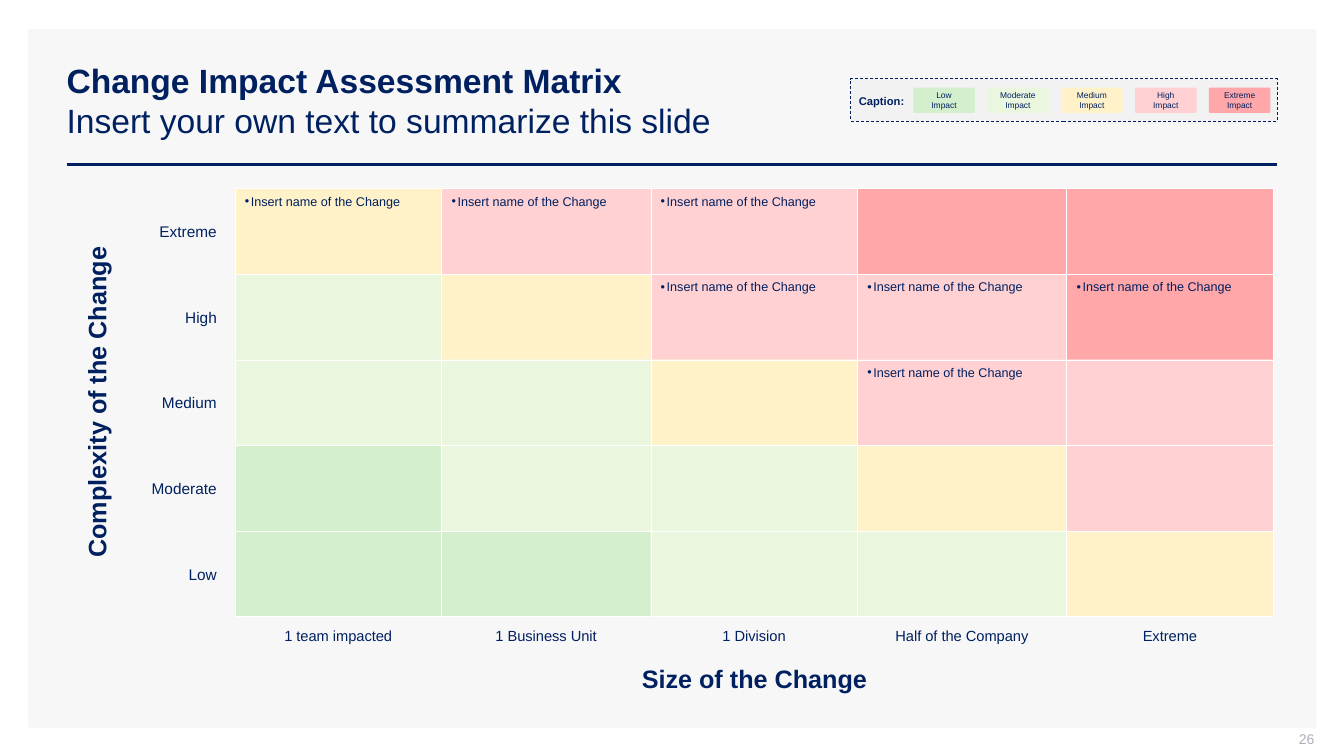
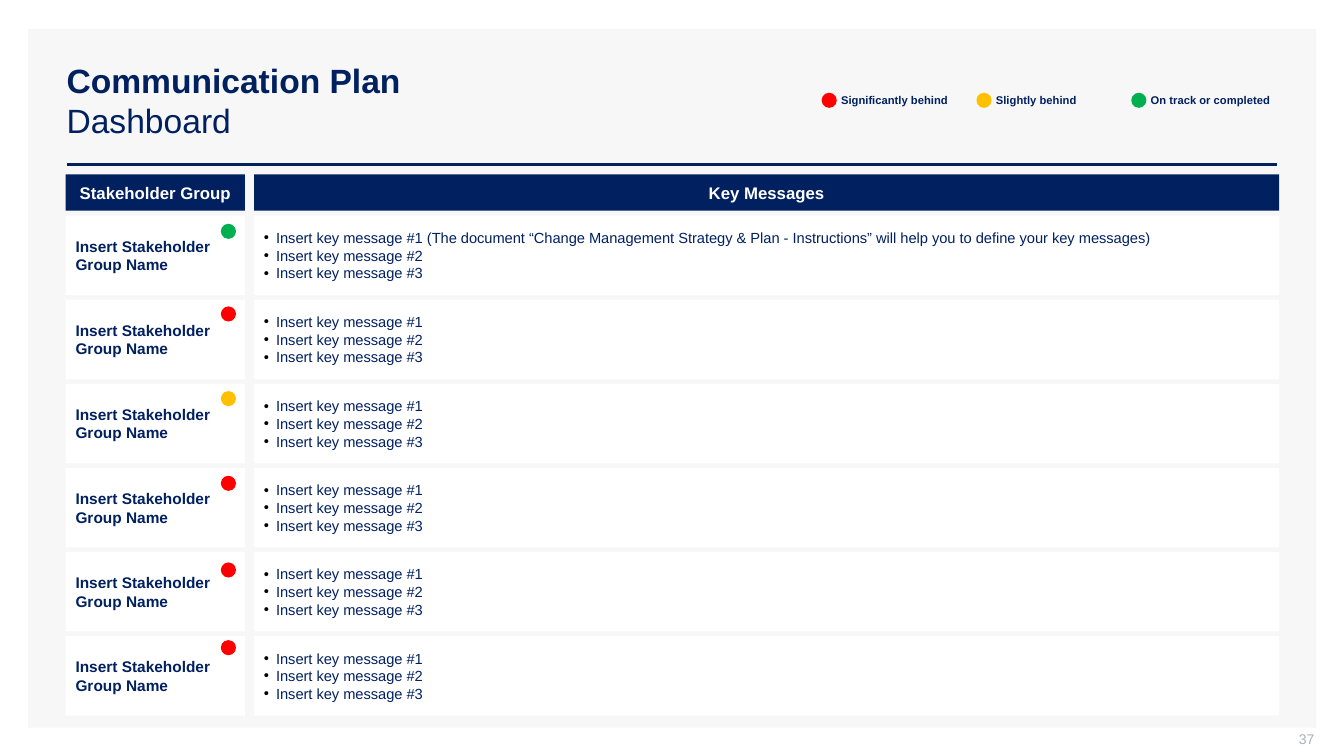
from dataclasses import dataclass, replace
from itertools import accumulate
from typing import Any, NamedTuple, Optional

from lxml.etree import SubElement
from pptx import Presentation
from pptx.dml.color import RGBColor
from pptx.enum.dml import MSO_LINE
from pptx.enum.shapes import MSO_CONNECTOR, MSO_SHAPE
from pptx.enum.text import MSO_ANCHOR, MSO_AUTO_SIZE, PP_ALIGN
from pptx.oxml.ns import qn
from pptx.util import Emu, Inches, Pt

WIDE, HIGH = Inches(13.333), Inches(7.5)
FONT = "Arial"
NAVY, WHITE, BLACK = "002060", "FFFFFF", "000000"
PANEL, PALE, GREY = "F7F7F7", "F2F2F2", "ADAFBB"
RED, AMBER, GREEN = "FF0000", "FFC000", "00B050"
RECT, ROUND, OVAL = MSO_SHAPE.RECTANGLE, MSO_SHAPE.ROUNDED_RECTANGLE, MSO_SHAPE.OVAL
LEFT, MID, RIGHT = PP_ALIGN.LEFT, PP_ALIGN.CENTER, PP_ALIGN.RIGHT


class Box(NamedTuple):
    """Left, top, width and height in percent of the slide."""
    x: float
    y: float
    w: float
    h: float

    def emu(self) -> tuple[Emu, ...]:
        sides = (WIDE, HIGH, WIDE, HIGH)
        return tuple(Emu(round(v * s / 100)) for v, s in zip(self, sides))


@dataclass(frozen=True)
class Look:
    """Fill, outline and text format; pad is left, top, right, bottom in inches."""
    fill: Optional[str] = None
    line: Optional[str] = None
    width: float = 0.25
    dash: bool = False
    size: float = 11
    bold: bool = False
    ink: str = NAVY
    align: PP_ALIGN = LEFT
    anchor: MSO_ANCHOR = MSO_ANCHOR.MIDDLE
    pad: tuple[float, ...] = (0.1, 0.05, 0.1, 0.05)
    indent: float = 0
    dot: str = NAVY


class Level(NamedTuple):
    name: str
    color: str


class Status(NamedTuple):
    name: str
    color: str


class Group(NamedTuple):
    color: str
    top: float
    extra: str = ""


LEVELS = {
    "L": Level("Low", "D3EFCE"),
    "O": Level("Moderate", "EBF6DE"),
    "M": Level("Medium", "FFF2C9"),
    "H": Level("High", "FFD1D2"),
    "E": Level("Extreme", "FFA7A9"),
}
MATRIX = {
    "Extreme": "MHHEE",
    "High": "OMHHE",
    "Medium": "OOMHH",
    "Moderate": "LOOMH",
    "Low": "LLOOM",
}
NOTED = {(0, 0), (0, 1), (0, 2), (1, 2), (1, 3), (1, 4), (2, 3)}
SIZES = ("1 team impacted", "1 Business Unit", "1 Division",
         "Half of the Company", "Extreme")
STATES = (
    Status("Significantly behind", RED),
    Status("Slightly behind", AMBER),
    Status("On track or completed", GREEN),
)
GROUPS = (
    Group(GREEN, 29.6, " (The document “Change Management Strategy & Plan - "
          "Instructions” will help you to define your key messages)"),
    Group(RED, 40.53),
    Group(AMBER, 51.73),
    Group(RED, 62.93),
    Group(RED, 74.4),
    Group(RED, 84.67),
)


def hue(code: str) -> RGBColor:
    return RGBColor.from_string(code)


def apply(item: Any, values: dict[str, Any]) -> None:
    for key, value in values.items():
        setattr(item, key, value)


def bullet(para: Any, indent: float, color: str) -> None:
    props = para._p.get_or_add_pPr()
    props.set("marL", str(Inches(indent)))
    props.set("indent", str(-Inches(indent)))
    tint = SubElement(props, qn("a:buClr"))
    SubElement(tint, qn("a:srgbClr")).set("val", color)
    SubElement(props, qn("a:buFont")).set("typeface", FONT)
    SubElement(props, qn("a:buChar")).set("char", "•")


def write(shape: Any, lines: tuple[str, ...], look: Look) -> None:
    frame = shape.text_frame
    left, top, right, bottom = map(Inches, look.pad)
    apply(frame, {
        "word_wrap": True, "auto_size": MSO_AUTO_SIZE.NONE,
        "vertical_anchor": look.anchor, "margin_left": left,
        "margin_top": top, "margin_right": right, "margin_bottom": bottom,
    })
    for i, line in enumerate(lines):
        para = frame.add_paragraph() if i else frame.paragraphs[0]
        para.alignment = look.align
        run = para.add_run()
        run.text = line
        apply(run.font, {"name": FONT, "size": Pt(look.size), "bold": look.bold})
        run.font.color.rgb = hue(look.ink)
        if look.indent:
            bullet(para, look.indent, look.dot)


def label(slide: Any, box: Box, text: str, look: Look) -> Any:
    """Add a text box without fill or outline."""
    shape = slide.shapes.add_textbox(*box.emu())
    write(shape, (text,), look)
    return shape


def block(slide: Any, kind: MSO_SHAPE, box: Box, look: Look, *lines: str) -> Any:
    """Add a filled preset shape, with text if any is given."""
    shape = slide.shapes.add_shape(kind, *box.emu())
    shape.shadow.inherit = False
    shape.fill.solid()
    shape.fill.fore_color.rgb = hue(look.fill)
    if look.line:
        shape.line.color.rgb = hue(look.line)
        shape.line.width = Pt(look.width)
        if look.dash:
            shape.line.dash_style = MSO_LINE.DASH
    else:
        shape.line.fill.background()
    if lines:
        write(shape, lines, look)
    return shape


def dot(slide: Any, x: float, y: float, color: str) -> None:
    block(slide, OVAL, Box(x, y, 1.13, 2), Look(fill=color))


def style(deck: Any) -> Any:
    """Give the title layout its panel, rule and title position."""
    layout = deck.slide_layouts.get_by_name("Title Only")
    title = layout.placeholders[0]
    keys = ("left", "top", "width", "height")
    apply(title, dict(zip(keys, Box(4.2, 5.33, 90.83, 15.87).emu())))
    return layout


def backdrop(slide: Any, layout: Any) -> None:
    """Draw the panel and rule, and move them to the layout."""
    panel = block(slide, RECT, Box(2.1, 3.87, 95.85, 92.4), Look(fill=PANEL))
    x, y, w, _ = Box(4.97, 21.73, 90.05, 0).emu()
    rule = slide.shapes.add_connector(MSO_CONNECTOR.STRAIGHT, x, y, x + w, y)
    rule.line.color.rgb = hue(NAVY)
    rule.line.width = Pt(2)
    SubElement(rule.element.spPr, qn("a:effectLst"))
    for depth, shape in enumerate((panel, rule), start=2):
        layout.shapes.element.insert(depth, shape.element)


def page(deck: Any, layout: Any, title: str, under: str, number: int) -> Any:
    slide = deck.slides.add_slide(layout)
    write(slide.shapes.title, (title, under), Look(size=24))
    slide.shapes.title.text_frame.paragraphs[0].runs[0].font.bold = True
    label(slide, Box(75.3, 96.67, 22.5, 2.8), str(number),
          Look(size=10, ink=GREY, align=RIGHT, pad=(0.1, 0, 0, 0.05)))
    return slide


def caption(slide: Any) -> None:
    block(slide, RECT, Box(63.3, 10.4, 31.73, 5.6),
          Look(fill=PALE, line=NAVY, width=0.5, dash=True, size=8, bold=True,
               pad=(0.08, 0.1, 0.08, 0.08)), "Caption:")
    for i, level in enumerate(LEVELS.values()):
        chip = block(slide, ROUND, Box(67.95 + 5.5 * i, 11.6, 4.58, 3.33),
                     Look(fill=level.color, size=6, align=MID),
                     f"{level.name} Impact")
        chip.adjustments[0] = 0.04


def matrix(slide: Any) -> None:
    widths = (15.38, 15.56, 15.38, 15.56, 15.38)
    lefts = list(accumulate(widths[:-1], initial=17.48))
    top, high = 24.93, 11.33
    cell = Look(line=WHITE, size=9, anchor=MSO_ANCHOR.TOP, indent=0.06)
    for row, (name, codes) in enumerate(MATRIX.items()):
        y = top + row * high
        label(slide, Box(8.63, y, 8.25, high), name, Look(align=RIGHT))
        for col, code in enumerate(codes):
            note = ("Insert name of the Change",) if (row, col) in NOTED else ()
            block(slide, RECT, Box(lefts[col], y, widths[col], high),
                  replace(cell, fill=LEVELS[code].color), *note)
    for x, w, name in zip(lefts, widths, SIZES):
        label(slide, Box(x, 82.27, w, 3.75), name, Look(size=10.5, align=MID))
    axis = Look(size=18, bold=True, align=MID)
    side = label(slide, Box(-6, 49.87, 26.33, 6.67), "Complexity of the Change", axis)
    side.rotation = 270
    label(slide, Box(45.9, 86.4, 20.48, 6.67), "Size of the Change", axis)


def legend(slide: Any) -> None:
    for i, state in enumerate(STATES):
        x = 61.13 + 11.52 * i
        dot(slide, x, 12.27, state.color)
        label(slide, Box(x + 1.45, 10.67, 9.4, 5.2), state.name,
              Look(size=8, bold=True, pad=(0, 0, 0, 0)))


def plan(slide: Any) -> None:
    group, message = (4.88, 13.35), (18.9, 76.27)
    head = Look(fill=NAVY, size=12, bold=True, ink=WHITE, align=MID,
                pad=(0.02,) * 4)
    for (x, w), name in ((group, "Stakeholder Group"), (message, "Key Messages")):
        block(slide, RECT, Box(x, 23.07, w, 4.8), head, name)
    names = Look(fill=WHITE, bold=True)
    items = Look(fill=WHITE, size=10.5, indent=0.12, dot=BLACK)
    for row, entry in enumerate(GROUPS):
        y, high = 28.53 + 11.12 * row, 10.53
        lines = [f"Insert key message #{n}" for n in (1, 2, 3)]
        lines[0] += entry.extra
        block(slide, RECT, Box(message[0], y, message[1], high), items, *lines)
        block(slide, RECT, Box(group[0], y, group[1], high), names,
              "Insert Stakeholder Group Name")
        dot(slide, 16.43, entry.top, entry.color)


def main() -> None:
    deck = Presentation()
    apply(deck, {"slide_width": WIDE, "slide_height": HIGH})
    layout = style(deck)
    impact = page(deck, layout, "Change Impact Assessment Matrix",
                  "Insert your own text to summarize this slide", 26)
    backdrop(impact, layout)
    caption(impact)
    matrix(impact)
    board = page(deck, layout, "Communication Plan", "Dashboard", 37)
    legend(board)
    plan(board)
    deck.save("out.pptx")


if __name__ == "__main__":
    main()
